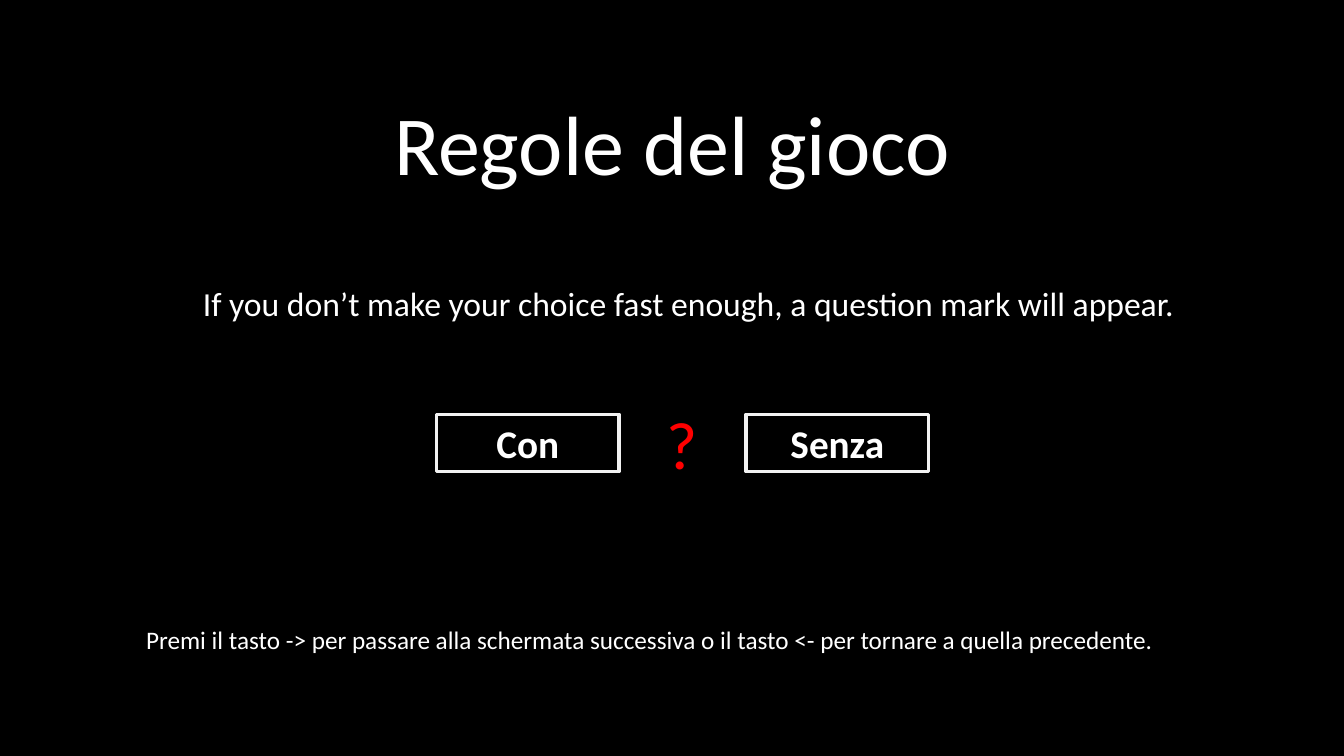
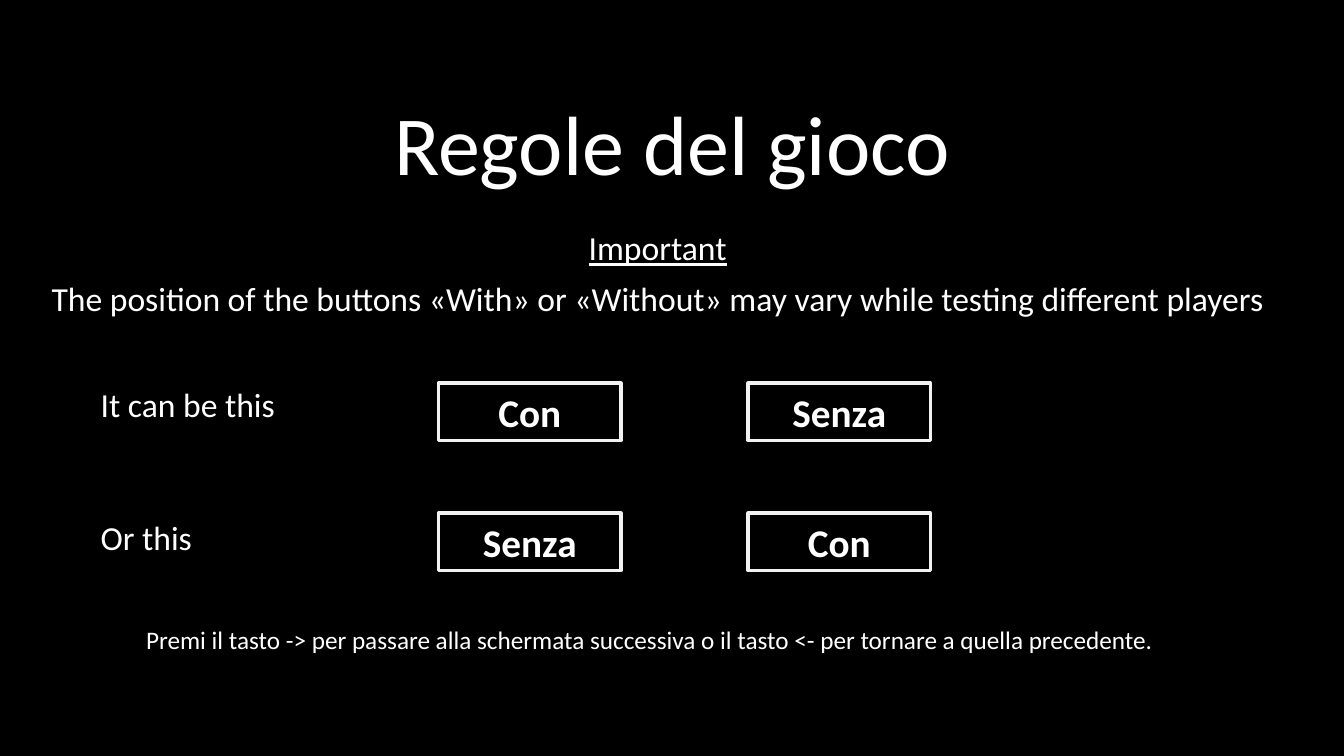
"""Build two black slides that explain the rules of a button game."""
from pptx import Presentation
from pptx import util as u
from pptx.dml.color import RGBColor
from pptx.enum import shapes, text

BLACK = RGBColor(0, 0, 0)
WHITE = RGBColor(255, 255, 255)
PALE = RGBColor(0xF2, 0xF2, 0xF2)
RED = RGBColor(255, 0, 0)

FONT = "Calibri"
WIDTH, HEIGHT = u.Inches(13.33), u.Inches(7.5)
COL, ROW = WIDTH / 100, HEIGHT / 100

CENTER, LEFT = text.PP_ALIGN.CENTER, text.PP_ALIGN.LEFT
FLOW = {"line_spacing": 0.9, "space_before": u.Pt(10)}
TITLE = "Regole del gioco"
HINT = ("Premi il tasto -> per passare alla schermata successiva "
        "o il tasto <- per tornare a quella precedente.")
BUTTON_W, BUTTON_H, BUTTON_PITCH = 13.58, 7.6, 23.03


def grid(left, top, width, height):
    """Turn columns and rows into slide lengths."""
    return [u.Emu(round(n * unit))
            for n, unit in zip((left, top, width, height), (COL, ROW) * 2)]


def set_all(target, values):
    """Set each named attribute on the target."""
    for name, value in values.items():
        setattr(target, name, value)


def write(p, words, size, align=CENTER, color=WHITE, flow=FLOW, **style):
    """Write one formatted run into a paragraph."""
    set_all(p, {"alignment": align, **flow})
    r = p.add_run()
    r.text = words
    set_all(r.font, {"name": FONT, "size": u.Pt(size), **style})
    r.font.color.rgb = color


def add_text(s, box, words, size, wrap=True, anchor=text.MSO_ANCHOR.TOP, **style):
    """Add a text box with one paragraph and return its frame."""
    tf = s.shapes.add_textbox(*grid(*box)).text_frame
    set_all(tf, {"word_wrap": wrap, "vertical_anchor": anchor})
    write(tf.paragraphs[0], words, size, **style)
    return tf


def add_buttons(s, left, top, labels):
    """Add a row of outlined buttons at an equal pitch."""
    for i, label in enumerate(labels):
        box = grid(left + i * BUTTON_PITCH, top, BUTTON_W, BUTTON_H)
        sp = s.shapes.add_shape(shapes.MSO_SHAPE.RECTANGLE, *box)
        sp.shadow.inherit = False
        sp.fill.background()
        sp.line.color.rgb = PALE
        sp.line.width = u.Pt(2.25)
        set_all(sp.text_frame, {"word_wrap": True,
                                "vertical_anchor": text.MSO_ANCHOR.TOP,
                                "auto_size": text.MSO_AUTO_SIZE.SHAPE_TO_FIT_TEXT})
        write(sp.text_frame.paragraphs[0], label, 28, flow={}, bold=True)


def add_rules_slide(prs):
    """Add a black slide with the shared title and key hint."""
    s = prs.slides.add_slide(prs.slide_layouts[6])
    s.background.fill.solid()
    s.background.fill.fore_color.rgb = BLACK
    add_text(s, (12.5, 4.27, 75, 22), TITLE, 60,
             anchor=text.MSO_ANCHOR.BOTTOM, flow={"line_spacing": 0.9})
    add_text(s, (-1.88, 82.4, 100.42, 14.4), HINT, 18)
    return s


def add_timeout_slide(prs):
    """Explain the question mark shown after a slow choice."""
    s = add_rules_slide(prs)
    add_text(s, (7.35, 37.33, 87.75, 27.6),
             "If you don’t make your choice fast enough, "
             "a question mark will appear.", 24)
    add_text(s, (48.83, 52.53, 3.83, 12.13), "?", 48,
             wrap=False, align=LEFT, color=RED, flow={})
    add_buttons(s, 32.48, 54.8, ("Con", "Senza"))


def add_positions_slide(prs):
    """Show the two possible button orders."""
    s = add_rules_slide(prs)
    tf = add_text(s, (2.85, 30, 92.18, 34.93), "Important", 24, underline=True)
    write(tf.add_paragraph(),
          "The position of the buttons «With» or «Without» "
          "may vary while testing different players", 24)
    orders = (("It can be this", 50.67, 50.67, ("Con", "Senza")),
              ("Or this", 68.27, 67.87, ("Senza", "Con")))
    for label, label_top, button_top, buttons in orders:
        add_text(s, (6.75, label_top, 87.75, 11.47), label, 24, align=LEFT)
        add_buttons(s, 32.63, button_top, buttons)


def main():
    """Build and save the presentation."""
    prs = Presentation()
    set_all(prs, {"slide_width": WIDTH, "slide_height": HEIGHT})
    add_timeout_slide(prs)
    add_positions_slide(prs)
    prs.save("out.pptx")


main()
